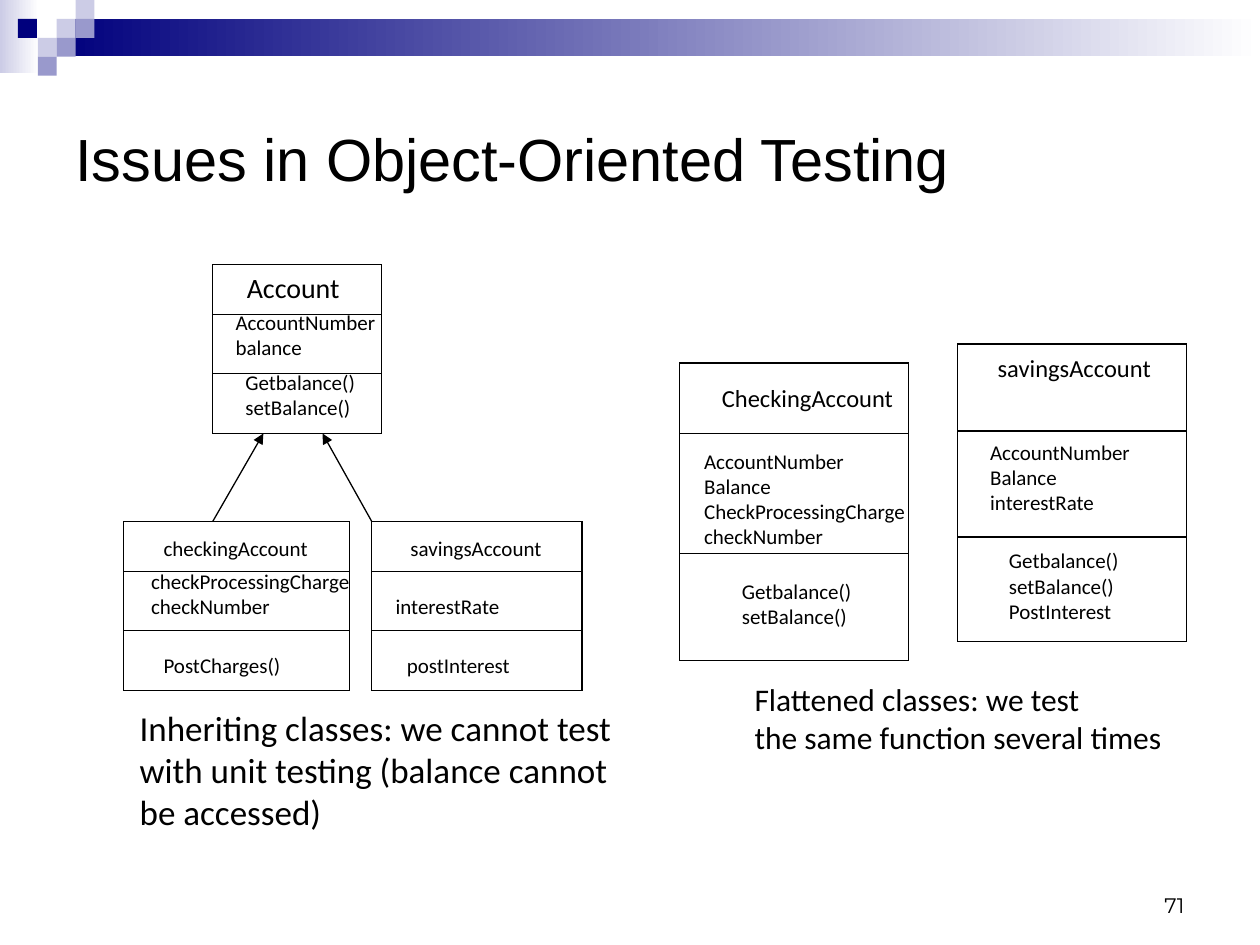
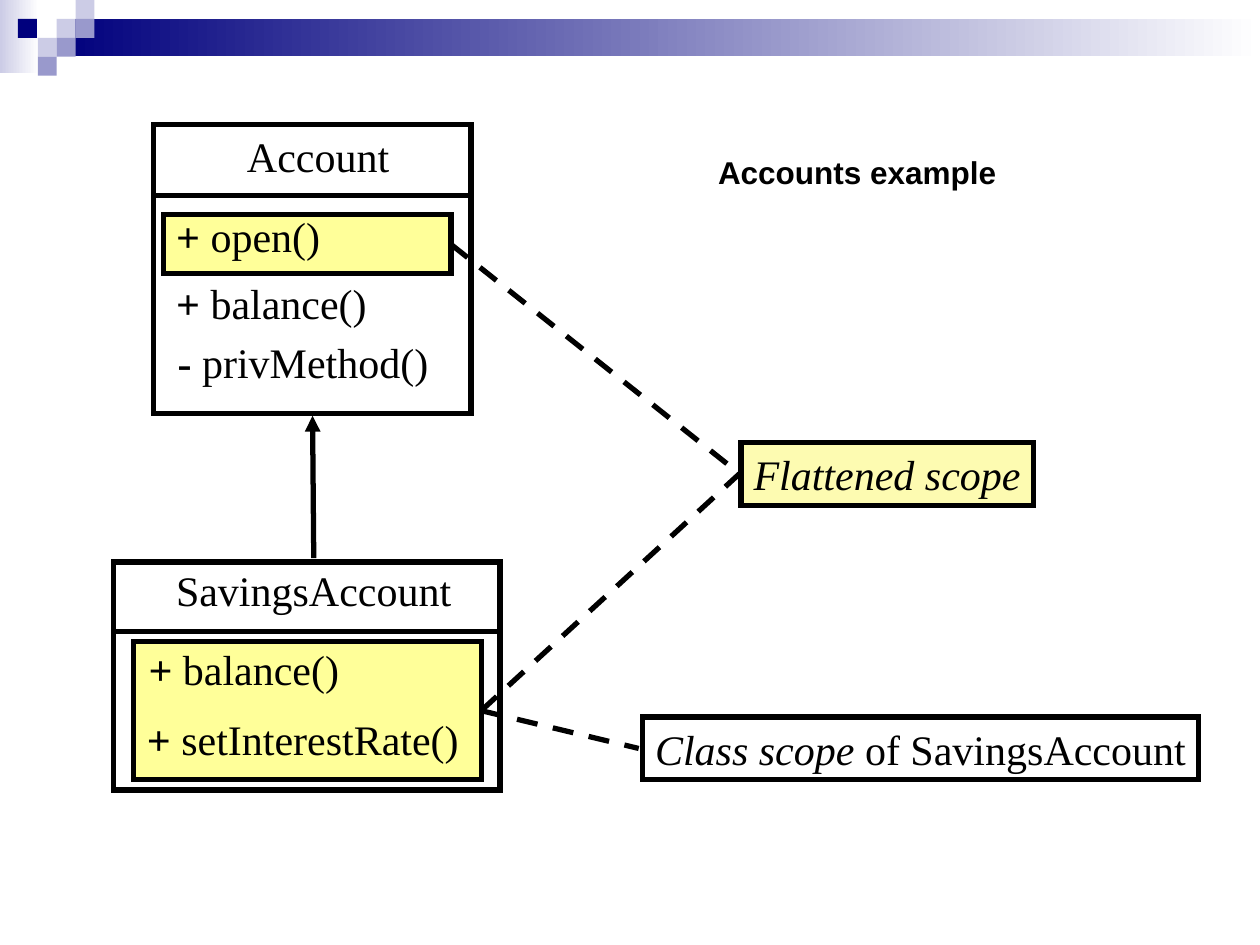
from dataclasses import dataclass

from lxml import etree
from pptx import Presentation
from pptx.dml.color import RGBColor
from pptx.enum import dml, shapes, text
from pptx.oxml.ns import qn
from pptx.util import Pt


@dataclass(frozen=True)
class Theme:
    ink: str = "000000"
    paper: str = "FFFFFF"
    navy: str = "00007D"
    violet: str = "9999CC"
    lilac: str = "CCCCE6"
    yellow: str = "FFFF99"
    cream: str = "FDFBB1"
    thin: float = 0.75
    thick: float = 3
    cell: float = 10.8
    title: tuple = ("Arial", 34)
    heading: tuple = ("Arial", 18)
    number: tuple = ("Montserrat", 12)
    member: tuple = ("Calibri", 12)
    flat_name: tuple = ("Calibri", 14)
    base_name: tuple = ("Calibri", 16)
    flat_note: tuple = ("Calibri", 18)
    note: tuple = ("Calibri", 20)
    serif: tuple = ("Times New Roman", 24)


T = Theme()
LEFT, CENTER, RIGHT = text.PP_ALIGN.LEFT, text.PP_ALIGN.CENTER, text.PP_ALIGN.RIGHT
BOLD, ITALIC = {"bold": True}, {"italic": True}
GROW = {"word_wrap": False, "auto_size": text.MSO_AUTO_SIZE.SHAPE_TO_FIT_TEXT,
        "vertical_anchor": text.MSO_ANCHOR.TOP}


def apply(obj, values):
    for name, value in values.items():
        setattr(obj, name, value)


def rgb(code):
    return RGBColor.from_string(code)


def points(values):
    return [Pt(v) for v in values]


def stroke(sp, width, child, **attributes):
    sp.line.color.rgb = rgb(T.ink)
    sp.line.width = Pt(width)
    etree.SubElement(sp._element.spPr.find(qn("a:ln")), qn(child), **attributes)


def rect(s, box, fill=None, line=None, fade=False):
    sp = s.shapes.add_shape(shapes.MSO_SHAPE.RECTANGLE, *points(box))
    sp.shadow.inherit = False
    if fade:
        sp.fill.gradient()
        sp.fill.gradient_angle = 0
        for stop, code in zip(sp.fill.gradient_stops, (fill, T.paper)):
            stop.color.rgb = rgb(code)
    elif fill:
        sp.fill.solid()
        sp.fill.fore_color.rgb = rgb(fill)
    else:
        sp.fill.background()
    if line:
        stroke(sp, line, "a:miter", lim="800000")
    else:
        sp.line.fill.background()
    return sp


def write(sp, paragraphs, style, align=LEFT, frame=GROW):
    tf = sp.text_frame
    apply(tf, frame)
    for i, runs in enumerate(paragraphs):
        p = tf.add_paragraph() if i else tf.paragraphs[0]
        p.alignment = align
        for words, look in [(runs, {})] if isinstance(runs, str) else runs:
            for n, part in enumerate(words.split("\n")):
                if n:
                    p.add_line_break()
                r = p.add_run()
                r.text = part
                apply(r.font, {"name": style[0], "size": Pt(style[1]), **look})
                r.font.color.rgb = rgb(T.ink)


def label(s, box, paragraphs, style, align=LEFT, frame=GROW):
    write(s.shapes.add_textbox(*points(box)), paragraphs, style, align, frame)


def line(s, start, end, width, dash=False, arrow=False):
    sp = s.shapes.add_connector(shapes.MSO_CONNECTOR.STRAIGHT, *points(start + end))
    if dash:
        sp.line.dash_style = dml.MSO_LINE.DASH
    stroke(sp, width, "a:tailEnd", type="triangle" if arrow else "none")
    etree.SubElement(sp._element.spPr, qn("a:effectLst"))


def class_box(s, box, dividers, labels, width=T.thin, align=LEFT):
    left, top, w, _ = box
    rect(s, box, line=width)
    for dy in dividers:
        line(s, (left, top + dy), (left + w, top + dy), width)
    for (dx, dy, text_w), style, paragraphs in labels:
        height = len(paragraphs) * style[1] * 1.2 + 7.2
        label(s, (left + dx, top + dy, text_w, height), paragraphs, style, align)


def new_slide(prs):
    s = prs.slides.add_slide(prs.slide_layouts[6])
    c = T.cell
    rect(s, (0, 0, 22.3, 41.8), T.lilac, fade=True)
    rect(s, (3 * c, c, 720 - 3 * c, 21.2), T.navy, fade=True)
    for col, row, code in ((3, 1, T.lilac), (4, 0, T.lilac), (4, 1, T.violet),
                           (2, 2, T.lilac), (0.95, 1, T.navy), (3, 2, T.violet),
                           (2, 3, T.violet)):
        rect(s, (col * c, row * c, c, c), code)
    return s


def issues_slide(prs):
    s = new_slide(prs)
    label(s, (36, 36, 648, 108), ["Issues in Object-Oriented Testing"], T.title,
          frame={"word_wrap": True, "vertical_anchor": text.MSO_ANCHOR.MIDDLE})
    label(s, (516.2, 491.8, 167.8, 36), ["71"], T.number, RIGHT,
          {"word_wrap": True, "vertical_anchor": text.MSO_ANCHOR.BOTTOM})

    inherited = (28.6, 62.4)
    class_box(s, (121.5, 151.2, 96.5, 96.5), inherited, (
        ((12.5, 0, 67.7), T.base_name, ["Account"]),
        ((6, 22.3, 94.3), T.member, ["AccountNumber", "balance"]),
        ((11.7, 56.2, 77), T.member, ["Getbalance()", "setBalance()"])))
    class_box(s, (212.5, 298.1, 120.2, 96.5), inherited, (
        ((15, 4.3, 89.3), T.member, ["savingsAccount"]),
        ((6.5, 37.7, 74.2), T.member, ["interestRate"]),
        ((12.9, 71.5, 73.4), T.member, ["postInterest"])))
    class_box(s, (70.6, 298.1, 129.2, 96.5), inherited, (
        ((15.8, 4.3, 96.7), T.member, ["checkingAccount"]),
        ((8.6, 23, 128.2), T.member, ["checkProcessingCharge", "checkNumber"]),
        ((15.8, 71.5, 81.4), T.member, ["PostCharges()"])))
    class_box(s, (547.2, 196.6, 131, 170), (49.7, 110.2), (
        ((15.8, 1.4, 102.2), T.flat_name, ["savingsAccount"]),
        ((11.5, 51.1, 94.3), T.member, ["AccountNumber", "Balance", "interestRate"]),
        ((22.3, 113, 77), T.member, ["Getbalance()", "setBalance()", "PostInterest"])))
    class_box(s, (388.1, 207.4, 131, 170), (40.3, 108.7), (
        ((17.3, 7.9, 112.3), T.flat_name, ["CheckingAccount"]),
        ((7.2, 45.3, 129.6), T.member,
         ["AccountNumber", "Balance", "CheckProcessingCharge", "checkNumber"]),
        ((28.8, 119.5, 77), T.member, ["Getbalance()", "setBalance()"])))

    for start, end in (((121.5, 298.1), (150.5, 247.7)),
                       ((212.5, 298.1), (184.3, 247.7))):
        line(s, start, end, T.thin, arrow=True)
    label(s, (72.7, 400.3, 284.4, 79.2),
          ["Inheriting classes: we cannot test\nwith unit testing (balance cannot\n"
           "be accessed)"], T.note)
    label(s, (424.1, 385.2, 247.7, 50.4),
          ["Flattened classes: we test\nthe same function several times"], T.flat_note)


def method(sign, name):
    return [[(sign, BOLD), (" " + name, {})]]


def accounts_slide(prs):
    s = new_slide(prs)
    subclass_scope, base_scope = (275, 406.1), (257.8, 139.7)
    flat_scope, class_scope = (422.6, 270.7), (365, 427.7)
    rect(s, (76.3, 366.5, 198.7, 79.2), T.yellow, T.thick)
    rect(s, (93.6, 122.4, 164.2, 33.8), T.yellow, T.thick)
    write(rect(s, (367.2, 409.7, 317.5, 36), line=T.thick),
          [[("Class scope ", ITALIC), ("of SavingsAccount", {})]], T.serif, CENTER)
    write(rect(s, (423.4, 252.7, 167, 36), T.cream, T.thick),
          [[("Flattened scope", ITALIC)]], T.serif, CENTER)
    for start, end in ((subclass_scope, class_scope), (subclass_scope, flat_scope),
                       (base_scope, flat_scope)):
        line(s, start, end, T.thick, dash=True)

    class_box(s, (87.8, 71.3, 181.4, 164.9), (40.3,), (
        ((46.1, 0, 95.8), T.serif, ["Account"]),
        ((5.8, 45.3, 96.5), T.serif, method("+", "open()")),
        ((5.8, 83.5, 123.1), T.serif, method("+", "balance()")),
        ((6.5, 117.3, 157.7), T.serif, method("-", "privMethod()"))), T.thick, CENTER)
    class_box(s, (64.8, 321.1, 221, 130.3), (39.6,), (
        ((24.5, -2.1, 180), T.serif, ["SavingsAccount"]),
        ((13, 43.2, 123.1), T.serif, method("+", "balance()")),
        ((8.3, 82.8, 200), T.serif, method("+", "setInterestRate()"))),
        T.thick, CENTER)
    line(s, (179.3, 319), (178.6, 237.6), T.thick, arrow=True)
    label(s, (403.2, 84.2, 173.5, 28.8), [[("Accounts example", BOLD)]], T.heading)


def main():
    prs = Presentation()
    apply(prs, {"slide_width": Pt(720), "slide_height": Pt(540)})
    issues_slide(prs)
    accounts_slide(prs)
    prs.save("out.pptx")


if __name__ == "__main__":
    main()
